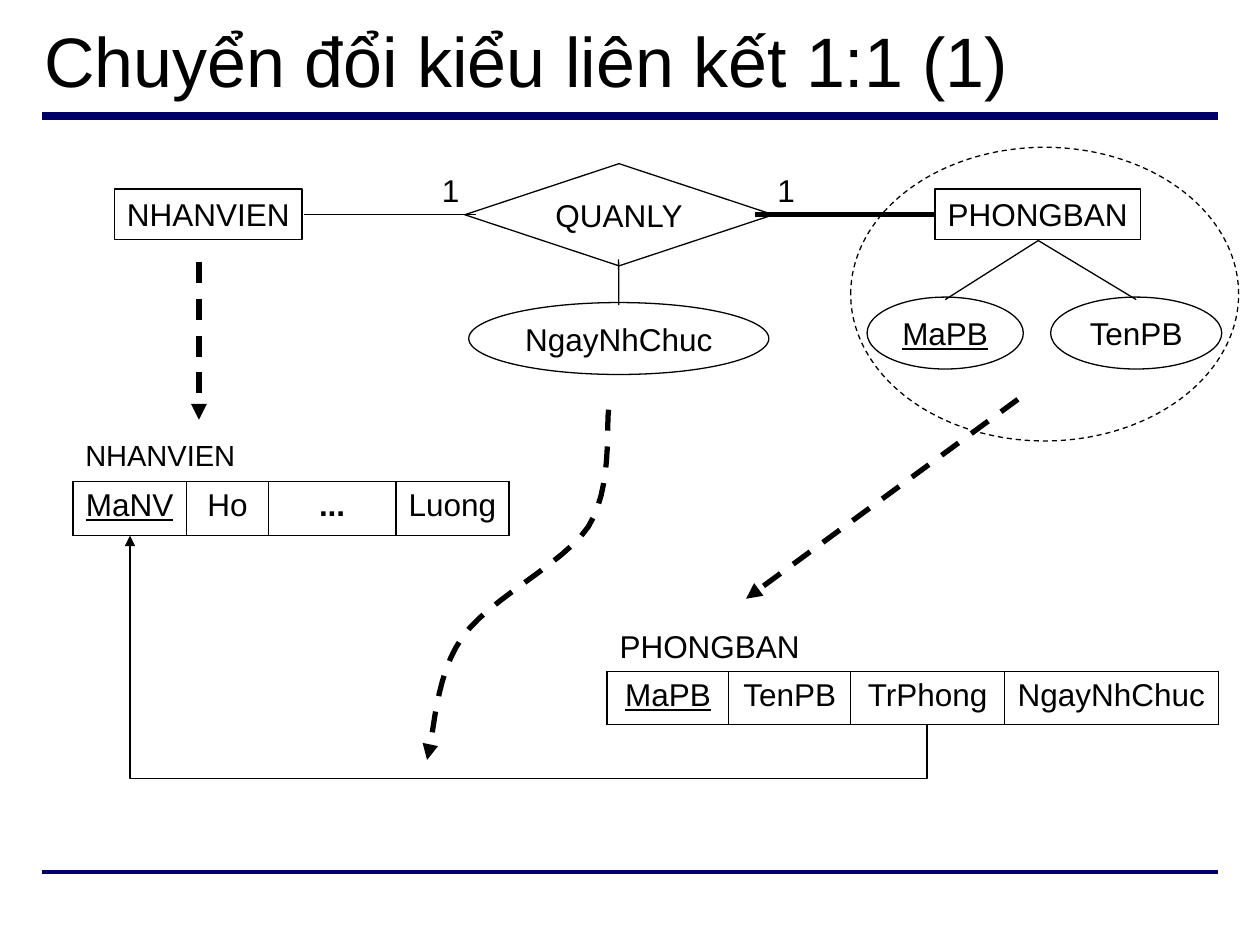
from lxml import etree
from pptx import Presentation
from pptx.dml.color import RGBColor
from pptx.enum import dml, shapes, text
from pptx.oxml import ns
from pptx.util import Cm, Pt

BLACK = RGBColor(0, 0, 0)
WHITE = RGBColor(255, 255, 255)
NAVY = RGBColor(0, 0, 0x66)
FONT = "Arial"
KIND = shapes.MSO_SHAPE
LINK = shapes.MSO_CONNECTOR
LEFT, MID = text.PP_ALIGN.LEFT, text.PP_ALIGN.CENTER


def add_sub(parent, tag, **attrs):
    return etree.SubElement(parent, ns.qn(tag), attrs)


def write(frame, words, size=18, align=MID, under=None, bold=None):
    para = frame.paragraphs[0]
    para.text = words
    para.alignment = align
    font = para.font
    font.name, font.size = FONT, Pt(size)
    font.underline, font.bold = under, bold
    font.color.rgb = BLACK


def stroke(item, width, color=BLACK, dash=False, arrow=False):
    line = item.line
    line.width = Pt(width)
    line.color.rgb = color
    if dash:
        line.dash_style = dml.MSO_LINE.DASH
    if arrow:
        add_sub(item.line._get_or_add_ln(), "a:tailEnd", type="triangle")


def join(slide, start, end, width=0.75, kind=LINK.STRAIGHT, **style):
    ends = [Cm(v) for v in (*start, *end)]
    link = slide.shapes.add_connector(kind, *ends)
    stroke(link, width, **style)
    add_sub(link._element.spPr, "a:effectLst")
    return link


def label(slide, x, y, w, h, words, wrap=True, anchor=text.MSO_ANCHOR.TOP, **style):
    box = slide.shapes.add_textbox(Cm(x), Cm(y), Cm(w), Cm(h))
    box.text_frame.word_wrap = wrap
    box.text_frame.vertical_anchor = anchor
    write(box.text_frame, words, align=LEFT, **style)


def node(slide, kind, x, y, w, h, words="", fill=None, dash=False, under=None):
    item = slide.shapes.add_shape(kind, Cm(x), Cm(y), Cm(w), Cm(h))
    item.shadow.inherit = False
    if fill is None:
        item.fill.background()
    else:
        item.fill.solid()
        item.fill.fore_color.rgb = fill
    stroke(item, 0.75, dash=dash)
    if words:
        frame = item.text_frame
        frame.word_wrap = False
        frame.vertical_anchor = text.MSO_ANCHOR.MIDDLE
        write(frame, words, under=under)


def head(slide, x, y, w):
    """Title and the two master rules."""
    label(slide, x - 0.2, y, w + 0.4, 1.47, "Chuyển đổi kiểu liên kết 1:1 (1)",
          size=40, anchor=text.MSO_ANCHOR.MIDDLE)
    for drop, width in ((1.88, 4.5), (17.12, 2.25)):
        join(slide, (x, y + drop), (x + w, y + drop), width, color=NAVY)


def model(slide, x, y):
    """Entities, relationship and attributes."""
    def at(dx, dy):
        return x + dx, y + dy

    # Entities and relationship
    node(slide, KIND.RECTANGLE, *at(0, 0.84), 3.78, 1.02, "NHANVIEN")
    node(slide, KIND.RECTANGLE, *at(16.54, 0.84), 4.14, 1.02, "PHONGBAN")
    node(slide, KIND.DIAMOND, *at(7.06, 0.33), 6.22, 2.06, "QUANLY")
    join(slide, at(3.81, 1.36), at(7.29, 1.36))
    join(slide, at(12.9, 1.36), at(16.54, 1.36), 3)
    for dx in (6.35, 13.11):
        label(slide, *at(dx, 0.36), 0.86, 1.02, "1", wrap=False)

    # Attributes, each with the foot of its owner
    for words, dx, dy, w, foot, under in (
            ("MaPB", 15.17, 3.02, 3.15, (18.62, 1.88), True),
            ("TenPB", 18.87, 3.02, 3.45, (18.62, 1.88), None),
            ("NgayNhChuc", 7.14, 3.13, 6.05, (10.16, 2.26), None)):
        node(slide, KIND.OVAL, *at(dx, dy), w, 1.45, words, WHITE, under=under)
        join(slide, at(dx + w / 2, dy + 0.05), at(*foot))

    # Ring around the entity on the right
    node(slide, KIND.OVAL, *at(14.84, 0), 7.82, 5.92, dash=True)


def edge(cell):
    props = cell._tc.get_or_add_tcPr()
    for side in ("a:lnL", "a:lnR", "a:lnT", "a:lnB"):
        line = add_sub(props, side, w=str(Pt(1)))
        add_sub(add_sub(line, "a:solidFill"), "a:srgbClr", val=str(BLACK))


def schema(slide, x, y, name, cols, high, size=18):
    """Relation name above a one-row table; the first column is the key."""
    label(slide, x, y, 6.5, 1.02, name, size=size)
    total = sum(w for _, w in cols)
    frame = slide.shapes.add_table(1, len(cols), Cm(x), Cm(y + 1.02), Cm(total), Cm(high))
    table = frame.table
    table.first_row = table.horz_banding = False
    for i, (words, w) in enumerate(cols):
        table.columns[i].width = Cm(w)
        cell = table.cell(0, i)
        cell.margin_left = cell.margin_right = Cm(0.1)
        edge(cell)
        cell.fill.background()
        write(cell.text_frame, words, under=i == 0, bold=words == "...")


def elbow(slide, start, end, drop):
    """Arrow that leaves downwards by drop and comes back up to its end."""
    (x1, y1), (x2, y2) = start, end
    mx, my = (x1 + x2) / 2, (y1 + y2) / 2
    rx, ry = (y1 - y2) / 2, (x1 - x2) / 2
    link = join(slide, (mx - rx, my + ry), (mx + rx, my - ry), kind=LINK.ELBOW, arrow=True)
    props = link._element.spPr
    props.find(ns.qn("a:xfrm")).set("rot", str(270 * 60000))
    guides = props.find(ns.qn("a:prstGeom")).find(ns.qn("a:avLst"))
    ratio = round(-drop / (y1 - y2) * 100000)
    add_sub(guides, "a:gd", name="adj1", fmla=f"val {ratio}")


def curve(slide, x, y, knots, steps=12):
    """Dashed arrow along cubic curves, every third knot on the path."""
    pts = [knots[0]]
    for i in range(0, len(knots) - 1, 3):
        for n in range(1, steps + 1):
            t = n / steps
            mix = ((1 - t) ** 3, 3 * t * (1 - t) ** 2, 3 * t * t * (1 - t), t ** 3)
            pts.append(tuple(sum(m * k[a] for m, k in zip(mix, knots[i:i + 4]))
                             for a in (0, 1)))
    pts = [(Cm(x + px), Cm(y + py)) for px, py in pts]
    build = slide.shapes.build_freeform(*pts[0])
    build.add_line_segments(pts[1:], close=False)
    item = build.convert_to_shape()
    item.shadow.inherit = False
    item.fill.background()
    stroke(item, 3, dash=True, arrow=True)


def main():
    deck = Presentation()
    deck.slide_width, deck.slide_height = Cm(25.4), Cm(19.05)
    slide = deck.slides.add_slide(deck.slide_layouts[6])
    head(slide, 0.84, 0.46, 23.72)
    model(slide, 2.31, 2.97)
    schema(slide, 1.47, 8.69, "NHANVIEN",
           [("MaNV", 2.29), ("Ho", 1.65), ("...", 2.57), ("Luong", 2.28)], 1.09, 16.6)
    schema(slide, 12.24, 12.52, "PHONGBAN",
           [("MaPB", 2.45), ("TenPB", 2.46), ("TrPhong", 3.1), ("NgayNhChuc", 4.31)], 1.07)

    # Mapping arrows and foreign key
    for start, end in (((4.01, 5.28), (4.01, 8.46)), ((20.52, 8.05), (15.04, 12.07))):
        join(slide, start, end, 3, dash=True, arrow=True)
    curve(slide, 8.61, 8.26, [
        (3.66, 0), (3.61, 0.38), (3.73, 1.6), (3.25, 2.36), (2.74, 3.12),
        (1.25, 3.81), (0.71, 4.59), (0.15, 5.38), (0.15, 6.55), (0, 7.06)])
    elbow(slide, (18.69, 14.6), (2.62, 10.8), 1.09)
    deck.save("out.pptx")


if __name__ == "__main__":
    main()
